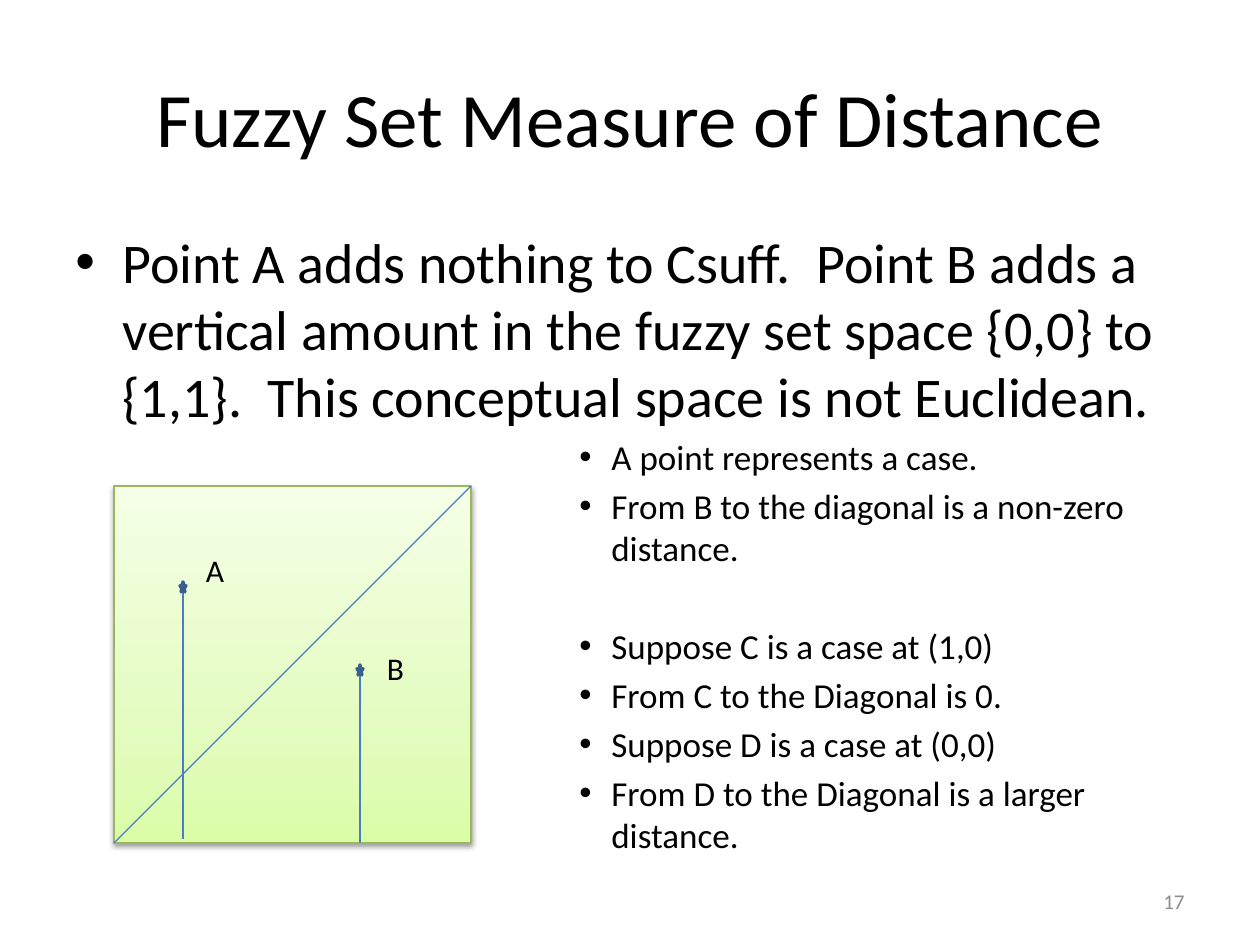
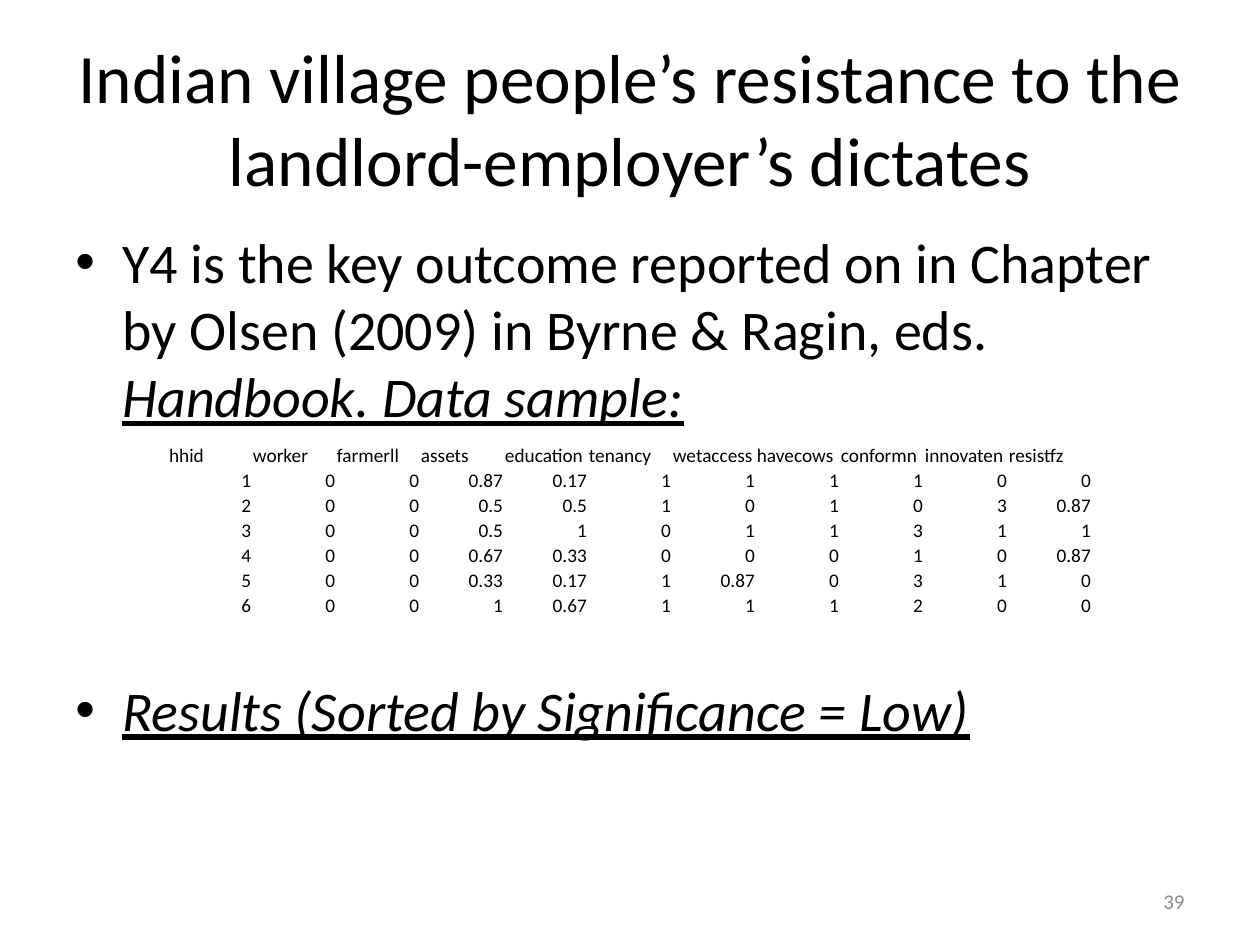
from lxml import etree
from pptx import Presentation
from pptx.dml.color import RGBColor
from pptx.enum.shapes import MSO_CONNECTOR, MSO_SHAPE
from pptx.enum.text import MSO_ANCHOR, PP_ALIGN
from pptx.oxml.ns import qn
from pptx.util import Pt

SCALE = 914400 / 126  # EMU per px
FONT, BLACK, GREY = "Calibri", "000000", "8C8C8C"
LINE_BLUE, STAR_FILL, STAR_EDGE, SQUARE_EDGE = "4B7EBC", "4F81BD", "3A5F8C", "98B955"
GREENS = [(0, "DAFDA7"), (35, "E4FCC2"), (100, "F5FFE7")]
LEFT, CENTER, RIGHT = PP_ALIGN.LEFT, PP_ALIGN.CENTER, PP_ALIGN.RIGHT
TOP, MIDDLE, BOTTOM = MSO_ANCHOR.TOP, MSO_ANCHOR.MIDDLE, MSO_ANCHOR.BOTTOM
STRAIGHT, RECT, STAR = MSO_CONNECTOR.STRAIGHT, MSO_SHAPE.RECTANGLE, MSO_SHAPE.STAR_5_POINT

TITLE_BOX = (63, 38, 1134, 158)
BODY_BOX = (63, 221, 1134, 624)
NUMBER_BOX = (903, 876, 294, 50)

# Bullet styles: text size in pt, left margin and hang in px
MAIN = (32, 47, 47)
SIDE = (20, 536, 32)
EMPHASIS = {"italic": True, "underline": True}

# Bullets: style, empty lines above, runs of (text, format)
DISTANCE = {
    "title": "Fuzzy Set Measure of Distance", "title_size": 44, "number": "17",
    "bullets": [
        (MAIN, 0, [("Point A adds nothing to Csuff.  Point B adds a vertical amount in the "
                    "fuzzy set space {0,0} to {1,1}.  This conceptual space is not "
                    "Euclidean.", {})]),
        (SIDE, 0, [("A point represents a case.", {})]),
        (SIDE, 0, [("From B to the diagonal is a non-zero distance.", {})]),
        (SIDE, 1, [("Suppose C is a case at (1,0)", {})]),
        (SIDE, 0, [("From C to the Diagonal is 0.", {})]),
        (SIDE, 0, [("Suppose D is a case at (0,0)", {})]),
        (SIDE, 0, [("From D to the Diagonal is a larger distance.", {})]),
    ],
}
RESISTANCE = {
    "title": "Indian village people’s resistance to the landlord-employer’s dictates",
    "title_size": 39.6, "number": "39",
    "bullets": [
        (MAIN, 0, [("Y4 is the key outcome reported on in Chapter by Olsen (2009) in "
                    "Byrne & Ragin, eds. ", {}),
                   ("Handbook. Data sample:", EMPHASIS)]),
        (MAIN, 3, [("Results (Sorted by Significance = Low)", EMPHASIS)]),
    ],
}

SQUARE = (114, 486, 357)  # left, top, side
STAR_SIZE = (6, 10)
# Case: star centre, foot of its drop line, label position
CASES = [
    ("A", (183, 587), 839, (206, 551)),
    ("B", (360, 670), 843, (387, 649)),
]

SAMPLE_AT, SAMPLE_CELL = (168, 443), (84, 25)
SAMPLE = [
    ("hhid", "worker", "farmerll", "assets", "education", "tenancy", "wetaccess",
     "havecows", "conformn", "innovaten", "resistfz"),
    (1, 0, 0, 0.87, 0.17, 1, 1, 1, 1, 0, 0),
    (2, 0, 0, 0.5, 0.5, 1, 0, 1, 0, 3, 0.87),
    (3, 0, 0, 0.5, 1, 0, 1, 1, 3, 1, 1),
    (4, 0, 0, 0.67, 0.33, 0, 0, 0, 1, 0, 0.87),
    (5, 0, 0, 0.33, 0.17, 1, 0.87, 0, 3, 1, 0),
    (6, 0, 0, 1, 0.67, 1, 1, 1, 2, 0, 0),
]


def px(*values):
    return [round(v * SCALE) for v in values]


def rgb(hex_code):
    return RGBColor.from_string(hex_code)


def set_margins(target, left, top, right, bottom):
    names = ("margin_left", "margin_top", "margin_right", "margin_bottom")
    for name, value in zip(names, px(left, top, right, bottom)):
        setattr(target, name, value)


def add_run(p, text, size, color=BLACK, **formats):
    r = p.add_run()
    r.text = text
    for name, value in {"name": FONT, "size": Pt(size), **formats}.items():
        setattr(r.font, name, value)
    r.font.color.rgb = rgb(color)


def add_text(s, box, anchor=TOP):
    tf = s.shapes.add_textbox(*px(*box)).text_frame
    tf.word_wrap = True
    tf.vertical_anchor = anchor
    return tf


def add_line_of_text(s, box, text, size, align, color=BLACK):
    p = add_text(s, box, MIDDLE).paragraphs[0]
    p.alignment = align
    add_run(p, text, size, color)


def add_bullets(s, bullets):
    tf = add_text(s, BODY_BOX)
    for i, ((size, margin, hang), gap_lines, runs) in enumerate(bullets):
        p = tf.paragraphs[0] if i == 0 else tf.add_paragraph()
        p.space_before = Pt(0.2 * size * (gap_lines + 1) + 1.2 * size * gap_lines)
        pPr = p._p.get_or_add_pPr()
        pPr.set("marL", str(px(margin)[0]))
        pPr.set("indent", str(px(-hang)[0]))
        etree.SubElement(pPr, qn("a:buFont"), typeface="Arial")
        etree.SubElement(pPr, qn("a:buChar"), char="•")
        for text, formats in runs:
            add_run(p, text, size, **formats)


def add_slide(prs, content):
    """Add a slide with its title, bullets and number."""
    s = prs.slides.add_slide(prs.slide_layouts[6])
    add_line_of_text(s, TITLE_BOX, content["title"], content["title_size"], CENTER)
    add_bullets(s, content["bullets"])
    add_line_of_text(s, NUMBER_BOX, content["number"], 12, RIGHT, GREY)
    return s


def add_shape(s, kind, box, edge, width):
    sp = s.shapes.add_shape(kind, *px(*box))
    sp.shadow.inherit = False
    sp.line.color.rgb = rgb(edge)
    sp.line.width = Pt(width)
    return sp


def add_line(s, *ends):
    line = s.shapes.add_connector(STRAIGHT, *px(*ends))
    line.line.color.rgb = rgb(LINE_BLUE)
    line.line.width = Pt(0.75)
    etree.SubElement(line._element.spPr, qn("a:effectLst"))


def add_color_xml(parent, hex_code):
    return etree.SubElement(parent, qn("a:srgbClr"), val=hex_code)


def add_square(s):
    """Add the fuzzy set space with its gradient, soft shadow and diagonal."""
    left, top, side = SQUARE
    sp = add_shape(s, RECT, (left, top, side, side), SQUARE_EDGE, 0.75)
    sp.fill.gradient()
    sp.fill.gradient_angle = 90
    spPr = sp._element.spPr
    stops = spPr.find(".//" + qn("a:gsLst"))
    for stop in list(stops):
        stops.remove(stop)
    for percent, color in GREENS:
        add_color_xml(etree.SubElement(stops, qn("a:gs"), pos=str(percent * 1000)), color)
    shadow = etree.SubElement(spPr.find(qn("a:effectLst")), qn("a:outerShdw"),
                              blurRad="40000", dist="20000", dir="5400000", rotWithShape="0")
    etree.SubElement(add_color_xml(shadow, BLACK), qn("a:alpha"), val="38000")
    add_line(s, left, top + side, left + side, top)


def add_case(s, name, center, foot, label_at):
    x, y = center
    w, h = STAR_SIZE
    add_line(s, x, foot, x, y + h / 2)
    star = add_shape(s, STAR, (x - w / 2, y - h / 2, w, h), STAR_EDGE, 2)
    star.fill.solid()
    star.fill.fore_color.rgb = rgb(STAR_FILL)
    tf = add_text(s, (*label_at, 25, 40))
    set_margins(tf, 0, 0, 0, 0)
    add_run(tf.paragraphs[0], name, 18)


def add_sample(s):
    rows, cols = len(SAMPLE), len(SAMPLE[0])
    w, h = SAMPLE_CELL
    table = s.shapes.add_table(rows, cols, *px(*SAMPLE_AT, w * cols, h * rows)).table
    table.first_row = table.horz_banding = False
    for column in table.columns:
        column.width = px(w)[0]
    for i, values in enumerate(SAMPLE):
        table.rows[i].height = px(h)[0]
        for j, value in enumerate(values):
            cell = table.cell(i, j)
            cell.fill.background()
            cell.vertical_anchor = BOTTOM
            set_margins(cell, 1, 1, 1, 0)
            p = cell.text_frame.paragraphs[0]
            p.alignment = RIGHT if i else LEFT
            add_run(p, str(value), 11)
            cell.text_frame.word_wrap = True


def main():
    prs = Presentation()
    prs.slide_width, prs.slide_height = px(1260, 945)
    s = add_slide(prs, DISTANCE)
    add_square(s)
    for case in CASES:
        add_case(s, *case)
    add_sample(add_slide(prs, RESISTANCE))
    prs.save("out.pptx")


if __name__ == "__main__":
    main()
